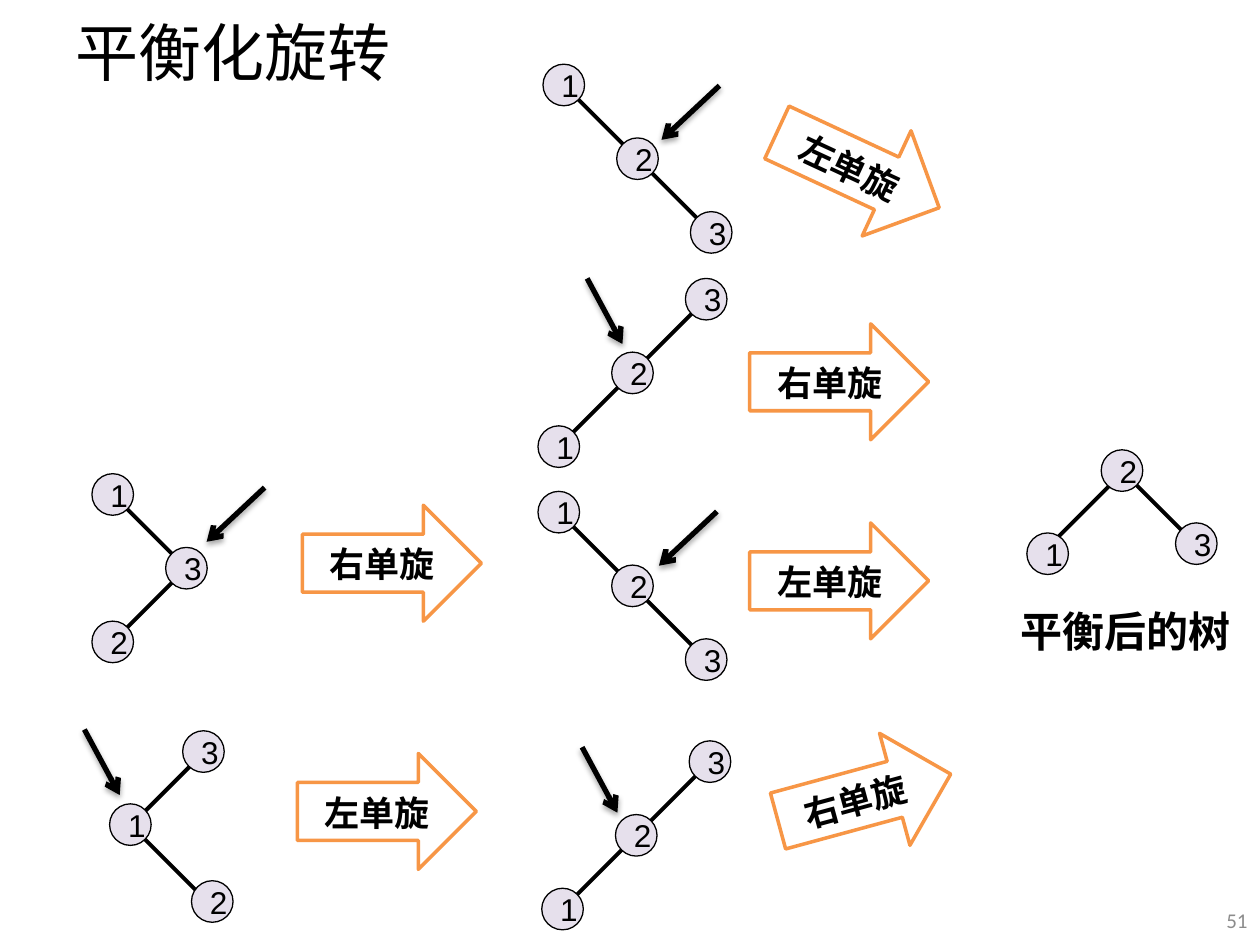
import math
from lxml import etree
from pptx import Presentation
from pptx.dml import color
from pptx.enum import shapes, text
from pptx.oxml import ns
from pptx.util import Inches, Pt

HUES = {"ink": "000000", "node": "E6E0EC", "turn": "F79646",
        "paper": "FFFFFF", "page": "8C8C8C"}
NODE = 0.33
STEP = 0.585
DOWN = ([(0, 0, "1"), (STEP, STEP, "2"), (2 * STEP, 2 * STEP, "3")],
        [(0.25, 0.25, 1.25, 1.25)])
UP = ([(2 * STEP, 0, "3"), (STEP, STEP, "2"), (0, 2 * STEP, "1")],
      [(1.25, 0.25, 0.25, 1.25)])
RIGHT_BEND = ([(STEP, STEP, "3"), (0, 0, "1"), (0, 2 * STEP, "2")],
              [(0.25, 1.25, 0.75, 0.75), (0.25, 0.25, 0.75, 0.75)])
LEFT_BEND = ([(0, 0.58, "1"), (0.58, 0, "3"), (0.65, 1.19, "2")],
             [(0.25, 0.83, 0.75, 1.33), (0.25, 0.67, 0.75, 0.17)])
EVEN = ([(1.18, 0.58, "3"), (0.59, 0, "2"), (0, 0.66, "1")],
        [(0.17, 0.77, 0.67, 0.27), (0.84, 0.25, 1.34, 0.75)])
TREES = [(4.31, 0.51, DOWN), (4.27, 2.21, UP), (0.87, 5.8, LEFT_BEND),
         (0.73, 3.76, RIGHT_BEND), (8.15, 3.57, EVEN), (4.3, 5.88, UP),
         (4.27, 3.9, DOWN)]
# Tip of each pointer and the way it leans
LEANS = {"right": (0.46, -0.43), "left": (-0.28, -0.52)}
TIPS = [(5.25, 1.11, "right"), (0.95, 6.31, "left"), (5.23, 4.49, "right"),
        (4.94, 2.73, "left"), (1.64, 4.3, "right"), (4.9, 6.45, "left")]
TURNS = [(2.4, 4.01, "右单旋", 0), (6.15, 5.87, "右单旋", -15.2),
         (5.95, 2.57, "右单旋", 0), (5.95, 4.15, "左单旋", 0),
         (2.36, 5.98, "左单旋", 0), (6.1, 0.89, "左单旋", 24.9)]


def rgb(name):
    return color.RGBColor.from_string(HUES[name])


def write(shape, words, size, font="Calibri", hue="ink", bold=False):
    frame = shape.text_frame
    frame.text = words
    face = frame.paragraphs[0].runs[0].font
    face.size, face.name, face.bold = Pt(size), font, bold
    face.color.rgb = rgb(hue)
    return frame


def label(parent, box, words, size, **look):
    shape = parent.add_textbox(*map(Inches, box))
    frame = write(shape, words, size, **look)
    frame.word_wrap = False
    return shape


def line(parent, ends, width):
    """Draw a straight line and return it with its empty effect list."""
    link = parent.add_connector(shapes.MSO_CONNECTOR.STRAIGHT,
                                *map(Inches, ends))
    link.line.color.rgb = rgb("ink")
    link.line.width = Pt(width)
    effect = etree.SubElement(link._element.spPr, ns.qn("a:effectLst"))
    return link, effect


def solid(parent, kind, box, fill, edge, width):
    shape = parent.add_shape(kind, *map(Inches, box))
    shape.shadow.inherit = False
    shape.fill.solid()
    shape.fill.fore_color.rgb = rgb(fill)
    shape.line.color.rgb = rgb(edge)
    shape.line.width = Pt(width)
    return shape


def tree(slide, left, top, plan):
    nodes, edges = plan
    group = slide.shapes.add_group_shape().shapes
    for x1, y1, x2, y2 in edges:
        line(group, (left + x1, top + y1, left + x2, top + y2), 2.25)
    for x, y, key in nodes:
        ball = solid(group, shapes.MSO_SHAPE.OVAL,
                     (left + x, top + y, NODE, NODE), "node", "ink", 0.75)
        frame = write(ball, key, 18, font="Arial")
        frame.word_wrap = False
        frame.vertical_anchor = text.MSO_ANCHOR.MIDDLE
        frame.paragraphs[0].alignment = text.PP_ALIGN.LEFT


def pointer(slide, x, y, lean):
    dx, dy = LEANS[lean]
    link, effect = line(slide.shapes, (x + dx, y + dy, x, y), 3)
    etree.SubElement(link.line._get_or_add_ln(), ns.qn("a:tailEnd"),
                     type="arrow")
    shade = etree.SubElement(effect, ns.qn("a:outerShdw"), blurRad="40000",
                             dist="23000", dir="5400000", rotWithShape="0")
    tint = etree.SubElement(shade, ns.qn("a:srgbClr"), val=HUES["ink"])
    etree.SubElement(tint, ns.qn("a:alpha"), val="35000")


def turn(slide, left, top, words, angle):
    """Place a block arrow and its label, both turned about the arrow's centre."""
    wide, high, tw, th, shift = 1.42, 0.92, 1.04, 0.44, -0.07
    group = slide.shapes.add_group_shape().shapes
    arrow = solid(group, shapes.MSO_SHAPE.RIGHT_ARROW,
                  (left, top, wide, high), "paper", "turn", 2)
    bend = math.radians(angle)
    x = left + wide / 2 + shift * math.cos(bend)
    y = top + high / 2 + shift * math.sin(bend)
    name = label(group, (x - tw / 2, y - th / 2 + 0.01, tw, th), words, 20,
                 bold=True)
    arrow.rotation = name.rotation = angle


def heads(slide):
    title = label(slide.shapes, (0.5, 0.05, 9, 0.71), "平衡化旋转", 36)
    page = label(slide.shapes, (9.57, 7.1, 0.43, 0.4), "51", 12, hue="page")
    for shape in (title, page):
        shape.text_frame.word_wrap = True
        shape.text_frame.vertical_anchor = text.MSO_ANCHOR.MIDDLE
    page.text_frame.paragraphs[0].alignment = text.PP_ALIGN.RIGHT


def main():
    deck = Presentation()
    deck.slide_width, deck.slide_height = Inches(10), Inches(7.5)
    slide = deck.slides.add_slide(deck.slide_layouts[6])
    heads(slide)
    for draw, rows in ((tree, TREES), (pointer, TIPS), (turn, TURNS)):
        for row in rows:
            draw(slide, *row)
    label(slide.shapes, (8, 4.76, 1.89, 0.5), "平衡后的树", 24, bold=True)
    deck.save("out.pptx")


if __name__ == "__main__":
    main()
